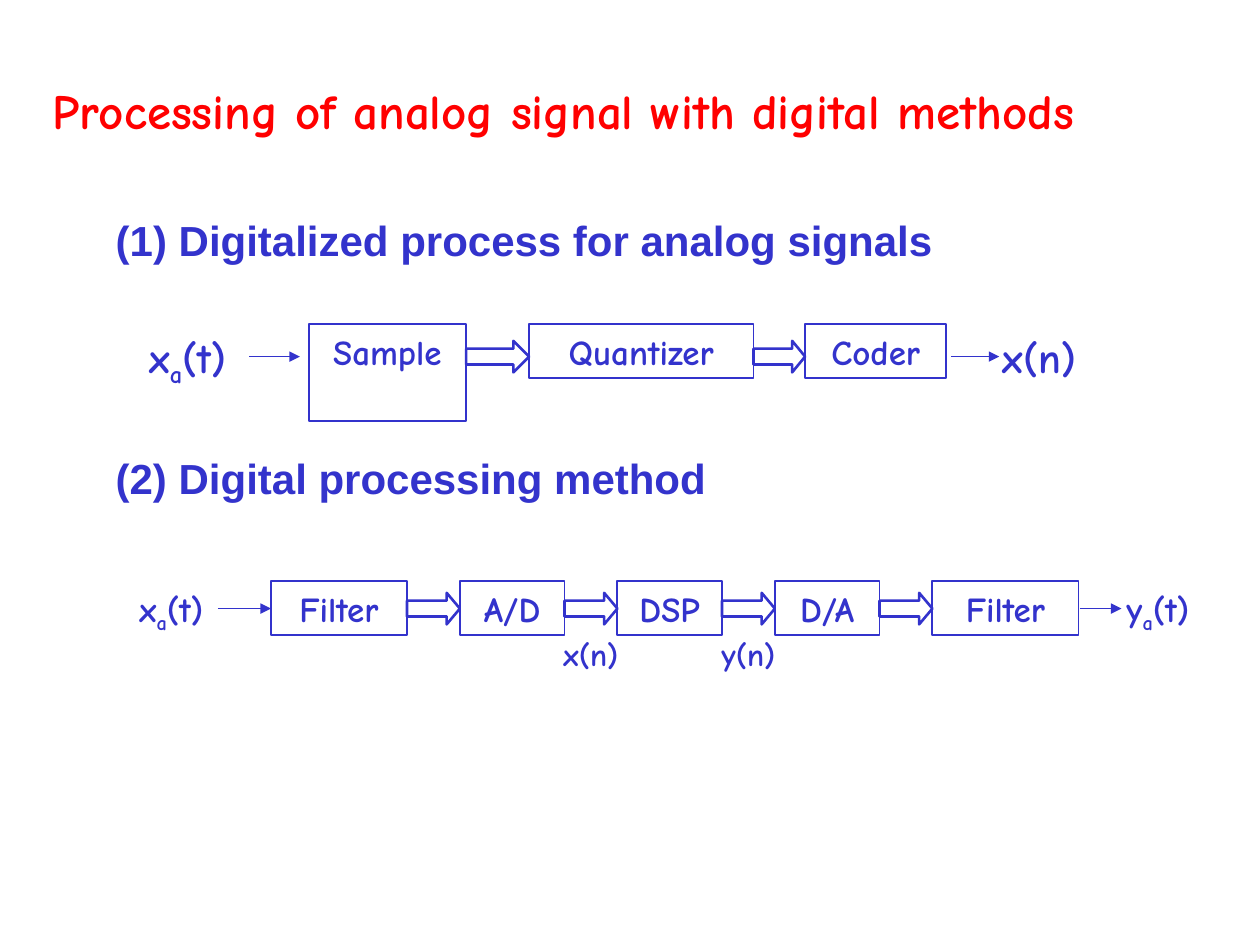
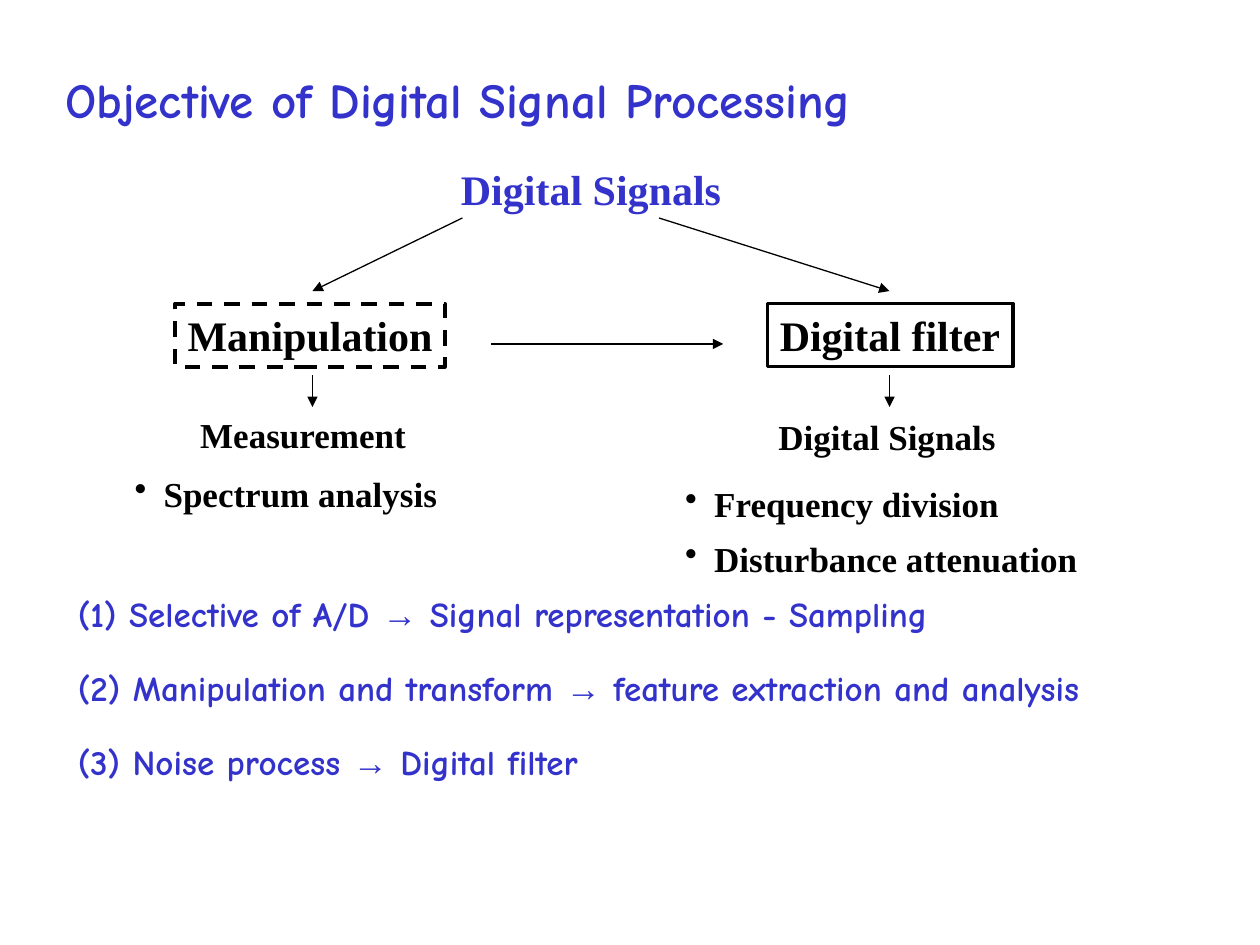
from lxml.etree import SubElement
from pptx import Presentation
from pptx.dml.color import RGBColor
from pptx.enum.dml import MSO_LINE_DASH_STYLE as Dash
from pptx.enum.shapes import MSO_CONNECTOR as Connector, MSO_SHAPE as Shape
from pptx.enum.text import MSO_ANCHOR as Anchor, PP_ALIGN as Align
from pptx.oxml.ns import qn
from pptx.util import Inches, Pt

# Shared style
BLUE, RED, BLACK = "3333CC", "FF0000", "000000"
COMIC, SANS, SERIF = "Comic Neue", "Arial", "Times New Roman"
BULLET_INDENT = Inches(0.23)
ARROW_HEIGHT = 0.25


def color(hex_value):
    return RGBColor.from_string(hex_value)


def add_bullet(para):
    properties = para._p.get_or_add_pPr()
    properties.set("marL", str(BULLET_INDENT))
    properties.set("indent", str(-BULLET_INDENT))
    SubElement(properties, qn("a:buChar")).set("char", "•")


def write(box, *paragraphs, size=20, font=COMIC, ink=BLUE, align=Align.LEFT,
          spacing=None, bullet=False, wrap=True):
    """Each paragraph is a string or a list of strings: "_a" is a subscript, "→" is set in Arial."""
    frame = box.text_frame
    frame.word_wrap = wrap
    frame.vertical_anchor = Anchor.TOP
    for index, pieces in enumerate(paragraphs):
        para = frame.paragraphs[0] if index == 0 else frame.add_paragraph()
        if bullet:
            add_bullet(para)
        para.alignment = align
        if spacing:
            para.line_spacing = spacing
        for piece in [pieces] if isinstance(pieces, str) else pieces:
            span = para.add_run()
            span.text = piece.removeprefix("_")
            span.font.size = Pt(size)
            span.font.bold = True
            span.font.name = SANS if piece == "→" else font
            span.font.color.rgb = color(ink)
            if piece.startswith("_"):
                span._r.get_or_add_rPr().set("baseline", "-25000")


def add_text(page, left, top, width, height, *paragraphs, **style):
    box = page.shapes.add_textbox(Inches(left), Inches(top), Inches(width), Inches(height))
    write(box, *paragraphs, **style)


def add_outline(page, kind, left, top, width, height, ink=BLUE, weight=1.0):
    shape = page.shapes.add_shape(kind, Inches(left), Inches(top), Inches(width), Inches(height))
    shape.shadow.inherit = False
    shape.fill.background()
    shape.line.color.rgb = color(ink)
    shape.line.width = Pt(weight)
    return shape


def add_arrow(page, start, end, ink=BLACK):
    line = page.shapes.add_connector(Connector.STRAIGHT, *map(Inches, start + end))
    line.line.color.rgb = color(ink)
    line.line.width = Pt(0.75)
    properties = line._element.spPr
    SubElement(properties.get_or_add_ln(), qn("a:tailEnd")).set("type", "triangle")
    SubElement(properties, qn("a:effectLst"))


def add_block_arrow(page, left, right, middle):
    length = right - left
    arrow = add_outline(page, Shape.RIGHT_ARROW, left, middle - ARROW_HEIGHT / 2,
                        length, ARROW_HEIGHT, weight=1.5)
    arrow.adjustments[1] = length


def add_chain(page, top, middle, blocks):
    """Boxes (label, left, width, height) in a row, joined by block arrows."""
    for label, left, width, height in blocks:
        box = add_outline(page, Shape.RECTANGLE, left, top, width, height)
        write(box, label, align=Align.CENTER)
    for (_, left, width, _), (_, next_left, _, _) in zip(blocks, blocks[1:]):
        add_block_arrow(page, left + width, next_left, middle)


def build_processing(page):
    add_text(page, 0.32, 0.45, 9.91, 0.72, "Processing of analog signal with digital methods",
             size=28, ink=RED, spacing=1.3)
    heading = dict(size=24, font=SANS, spacing=1.4)
    centred = dict(align=Align.CENTER)

    # Digitalizing chain
    add_text(page, 0.82, 1.49, 7.59, 0.66, "(1) Digitalized process for analog signals", **heading)
    add_chain(page, 2.57, 2.83, [("Sample", 2.45, 1.25, 0.77),
                                 ("Quantizer", 4.2, 1.78, 0.43),
                                 ("Coder", 6.39, 1.12, 0.43)])
    add_text(page, 0.87, 2.58, 1.24, 0.56, ["x", "_a", "(t)"], size=24, **centred)
    add_text(page, 7.63, 2.58, 1.24, 0.5, "x(n)", size=24, **centred)

    # Digital processing chain
    add_text(page, 0.82, 3.38, 5.33, 0.66, "(2) Digital processing method", **heading)
    converters = [(label, 3.65 + 1.25 * step, 0.83, 0.43)
                  for step, label in enumerate(["A/D", "DSP", "D/A"])]
    add_chain(page, 4.61, 4.83, [("Filter", 2.15, 1.08, 0.43), *converters,
                                 ("Filter", 7.4, 1.16, 0.43)])
    for left, signal in [(0.82, "x"), (8.65, "y")]:
        add_text(page, left, 4.61, 1.08, 0.48, [signal, "_a", "(t)"], **centred)
    for left, signal in [(4.15, "x(n)"), (5.4, "y(n)")]:
        add_text(page, left, 4.99, 1.08, 0.4, signal, size=18, **centred)

    # Input and output arrows
    for left, right, middle in [(1.98, 2.38, 2.83), (7.55, 7.93, 2.83),
                                (1.73, 2.15, 4.83), (8.57, 8.9, 4.83)]:
        add_arrow(page, (left, middle), (right, middle), ink=BLUE)


def build_objective(page):
    add_text(page, 0.42, 0.5, 7.92, 0.57, "Objective of Digital Signal Processing", size=28)

    # Tree of signal tasks
    add_text(page, 3.56, 1.25, 2.67, 0.5, "Digital Signals", size=24, font=SERIF)
    for label, left, width, weight, dash in [("Manipulation", 1.39, 2.14, 2.25, Dash.DASH),
                                             ("Digital filter", 6.09, 1.95, 2, Dash.SOLID)]:
        box = add_outline(page, Shape.RECTANGLE, left, 2.41, width, 0.5, BLACK, weight)
        box.line.dash_style = dash
        write(box, label, size=24, font=SERIF, ink=BLACK, wrap=False)
    for start, middle in [(3.67, 2.48), (5.23, 7.06)]:
        add_arrow(page, (start, 1.73), (middle, 2.31))
        add_arrow(page, (middle, 2.98), (middle, 3.23))
    add_arrow(page, (3.9, 2.73), (5.74, 2.73))

    # Results of each task
    plain = dict(font=SERIF, ink=BLACK)
    bullets = dict(plain, spacing=1.3, bullet=True)
    add_text(page, 1.49, 3.23, 1.95, 0.44, "Measurement", **plain)
    add_text(page, 6.08, 3.25, 2.0, 0.44, "Digital Signals", **plain)
    add_text(page, 0.97, 3.6, 3.03, 0.54, "Spectrum analysis", **bullets)
    add_text(page, 5.34, 3.68, 3.46, 1.4, "Frequency division", "Disturbance attenuation", **bullets)

    # Numbered topics
    topics = [("(1) Selective of A/D ", " Signal representation - Sampling"),
              ("(2) Manipulation and transform ", " feature extraction and analysis"),
              ("(3) Noise process ", " Digital filter")]
    for row, (task, result) in enumerate(topics):
        add_text(page, 0.52, 4.65 + 0.59 * row, 9.2, 0.44, [task, "→", result])


def main():
    deck = Presentation()
    deck.slide_width, deck.slide_height = Inches(10), Inches(7.5)
    for build in (build_processing, build_objective):
        build(deck.slides.add_slide(deck.slide_layouts[6]))
    deck.save("out.pptx")


if __name__ == "__main__":
    main()
